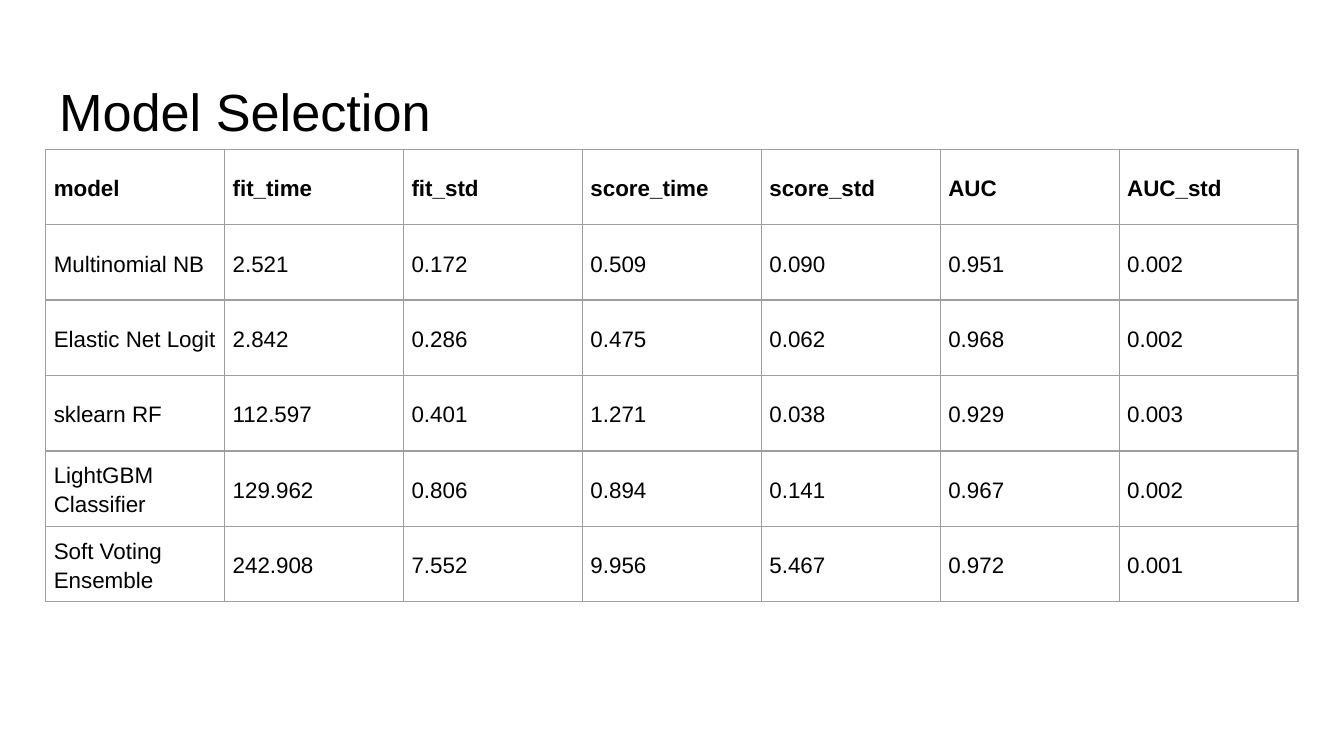
from lxml import etree
from pptx import Presentation
from pptx.dml.color import RGBColor
from pptx.enum.text import MSO_ANCHOR, PP_ALIGN
from pptx.oxml.ns import qn
from pptx.util import Inches, Pt

TOP, MIDDLE = MSO_ANCHOR.TOP, MSO_ANCHOR.MIDDLE
LEFT = PP_ALIGN.LEFT
TITLE_ONLY = 5
FONT = "Arial"
COLORS = {"text": "000000", "border": "9E9E9E"}
ROWS = [
    ("model", "fit_time", "fit_std", "score_time", "score_std", "AUC", "AUC_std"),
    ("Multinomial NB", "2.521", "0.172", "0.509", "0.090", "0.951", "0.002"),
    ("Elastic Net Logit", "2.842", "0.286", "0.475", "0.062", "0.968", "0.002"),
    ("sklearn RF", "112.597", "0.401", "1.271", "0.038", "0.929", "0.003"),
    ("LightGBM Classifier", "129.962", "0.806", "0.894", "0.141", "0.967", "0.002"),
    ("Soft Voting Ensemble", "242.908", "7.552", "9.956", "5.467", "0.972", "0.001"),
]


def add_run(p, text, size, bold=False):
    """Add one formatted run to a left-aligned paragraph."""
    p.alignment = LEFT
    r = p.add_run()
    r.text = text
    r.font.name, r.font.size, r.font.bold = FONT, Pt(size), bold
    r.font.color.rgb = RGBColor.from_string(COLORS["text"])


def add_title(s, text, left, top, width, height):
    """Place the title placeholder in the given box."""
    sp = s.shapes.title
    sp.left, sp.top = Inches(left), Inches(top)
    sp.width, sp.height = Inches(width), Inches(height)
    tf = sp.text_frame
    tf.word_wrap = True
    tf.vertical_anchor = TOP
    tf.margin_left = tf.margin_right = Inches(0.1)
    tf.margin_top = tf.margin_bottom = Inches(0.1)
    add_run(tf.paragraphs[0], text, 28)


def set_borders(cell):
    """Draw a thin line on all four sides of a cell."""
    tcPr = cell._tc.get_or_add_tcPr()
    for i, side in enumerate(("a:lnL", "a:lnR", "a:lnT", "a:lnB")):
        ln = etree.Element(qn(side), w=str(Pt(0.75)))
        fill = etree.SubElement(ln, qn("a:solidFill"))
        etree.SubElement(fill, qn("a:srgbClr"), val=COLORS["border"])
        tcPr.insert(i, ln)


def fill_cell(cell, text, bold):
    """Write and format one table cell."""
    cell.fill.background()
    cell.vertical_anchor = MIDDLE
    cell.margin_left = cell.margin_right = Inches(0.06)
    cell.margin_top = cell.margin_bottom = Inches(0.05)
    p = cell.text_frame.paragraphs[0]
    p.line_spacing = 1.15
    p.space_before = Pt(9)
    add_run(p, text, 12, bold)
    set_borders(cell)


def add_score_table(s, rows, left, top, width, height):
    """Add the model comparison as an even grid with a bold header."""
    table = s.shapes.add_table(len(rows), len(rows[0]), Inches(left), Inches(top),
                               Inches(width), Inches(height)).table
    table.first_row = table.horz_banding = False
    for i, row in enumerate(rows):
        for j, text in enumerate(row):
            fill_cell(table.cell(i, j), text, bold=i == 0)


def build_model_selection(prs):
    """Build the model selection slide."""
    s = prs.slides.add_slide(prs.slide_layouts[TITLE_ONLY])
    add_title(s, "Model Selection", 0.34, 0.49, 9.32, 0.63)
    add_score_table(s, ROWS, 0.34, 1.11, 9.32, 3.37)


prs = Presentation()
prs.slide_width = Inches(10)
prs.slide_height = prs.slide_width * 9 // 16
build_model_selection(prs)
prs.save("out.pptx")
